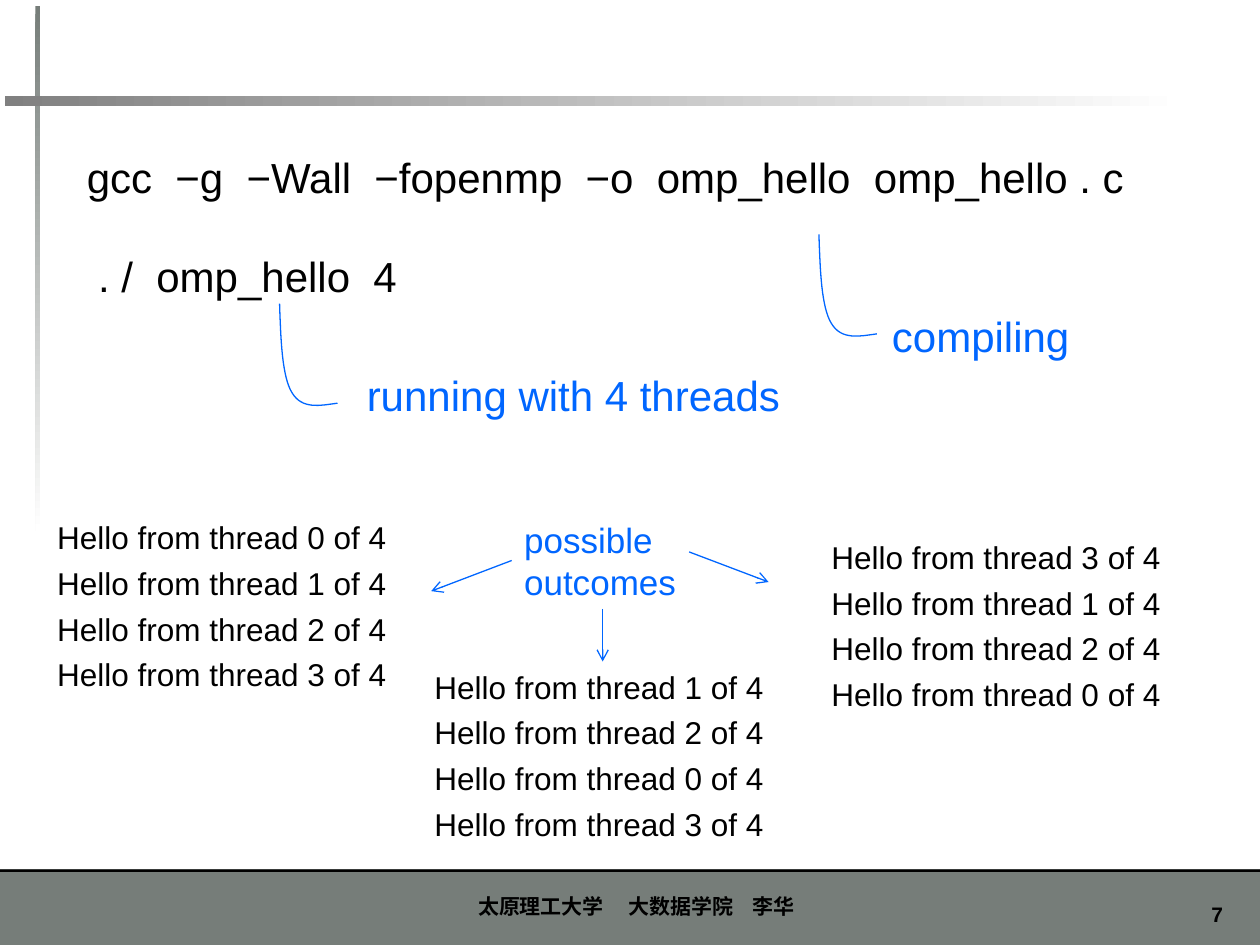
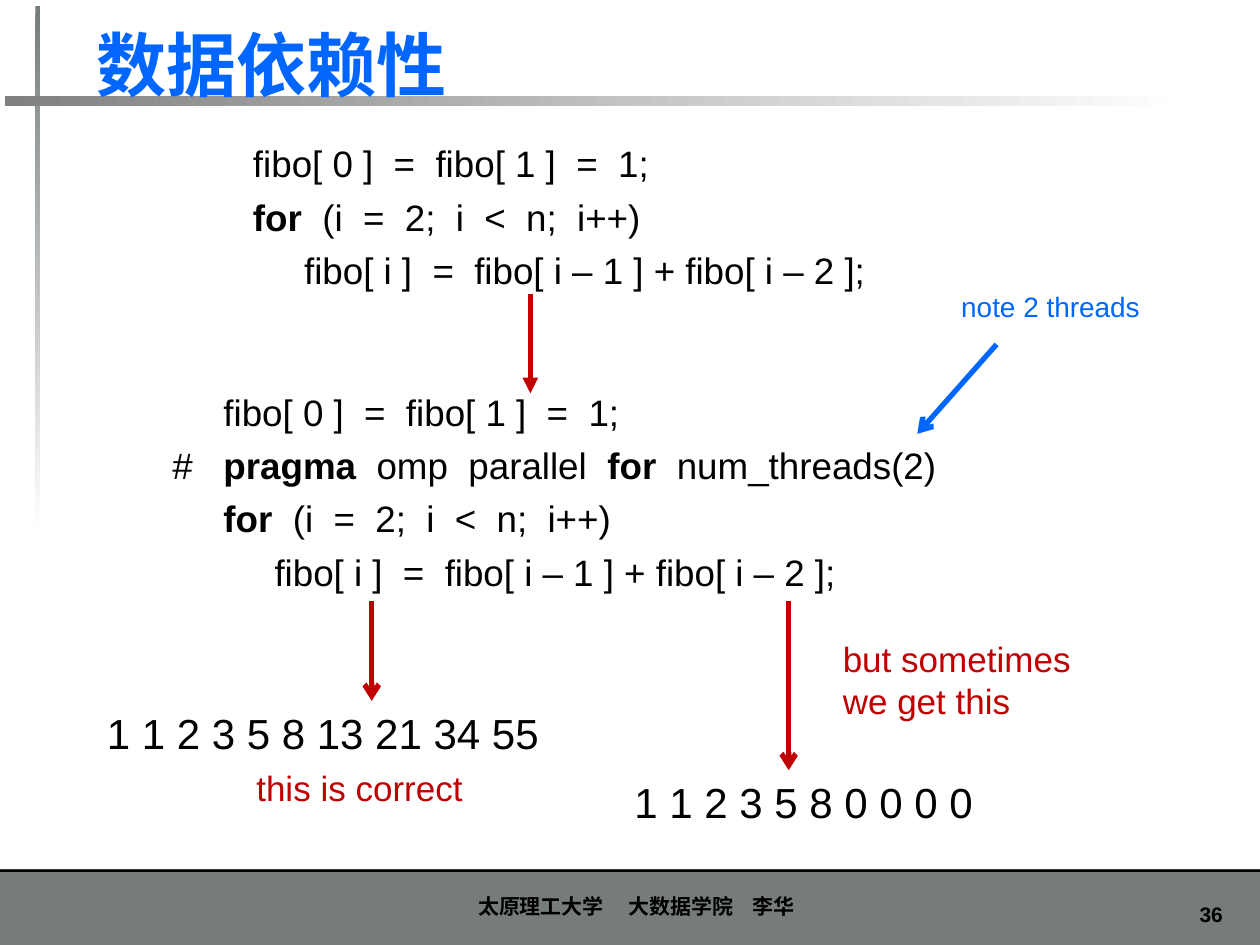
import pptx
import pptx.dml.color
import pptx.enum.shapes
import pptx.enum.text
import pptx.oxml
import pptx.oxml.ns
import pptx.util

Pt = pptx.util.Pt
RGBColor = pptx.dml.color.RGBColor
Align = pptx.enum.text.PP_ALIGN
Anchor = pptx.enum.text.MSO_ANCHOR

BLACK = RGBColor(0x00, 0x00, 0x00)
WHITE = RGBColor(0xFF, 0xFF, 0xFF)
BLUE = RGBColor(0x00, 0x66, 0xFF)
RED = RGBColor(0xC0, 0x00, 0x00)
SLATE = RGBColor(0x76, 0x7D, 0x79)
GRAY = RGBColor(0x80, 0x80, 0x80)

FONT = "Arial"
WIDTH, HEIGHT = 720, 540
FOOTER_HEIGHT = 43.2
CODE_INDENT = 29.2
TOP, LEFT, BOTTOM, RIGHT = range(4)

HOOK = [(0, 0), (0.7, 20.9), (1.4, 41.8), (7.2, 51.1),
        (13, 60.5), (23, 58.3), (33.1, 56.9)]

FIRST_LINE = "fibo[ 0 ]  =  fibo[ 1 ]  =  1;"
LOOP_HEAD = [("for", True), ("  (i  =  2;  i  <  n;  i++)", False)]
LOOP_BODY = "fibo[ i ]  =  fibo[ i – 1 ] + fibo[ i – 2 ];"


def set_tabs(para, stops):
    properties = para._p.get_or_add_pPr()
    tab_list = pptx.oxml.parse_xml(
        f'<a:tabLst {pptx.oxml.ns.nsdecls("a")}>'
        + "".join(f'<a:tab pos="{Pt(stop)}" algn="l"/>' for stop in stops)
        + "</a:tabLst>")
    properties.append(tab_list)


def add_span(para, text, size, color, bold):
    span = para.add_run()
    span.text = text
    span.font.name = FONT
    span.font.size = Pt(size)
    span.font.bold = bold
    span.font.color.rgb = color


def add_text(slide, left, top, width, height, paras, size=24, color=BLACK,
             bold=False, align=Align.LEFT, anchor=Anchor.TOP, wrap=True,
             gap=0.25, tabs=()):
    box = slide.shapes.add_textbox(Pt(left), Pt(top), Pt(width), Pt(height))
    frame = box.text_frame
    frame.word_wrap = wrap
    frame.vertical_anchor = anchor
    for index, spans in enumerate(paras):
        para = frame.add_paragraph() if index else frame.paragraphs[0]
        para.alignment = align
        para.space_before = Pt(size * gap)
        if tabs:
            set_tabs(para, tabs)
        for text, strong in [(spans, bold)] if isinstance(spans, str) else spans:
            for number, line in enumerate(text.split("\n")):
                if number:
                    para.add_line_break()
                add_span(para, line, size, color, strong)
    return box


def add_arrow(slide, start, end, color, width, head="arrow"):
    arrow = slide.shapes.add_connector(
        pptx.enum.shapes.MSO_CONNECTOR.STRAIGHT,
        *(Pt(value) for value in (*start, *end)))
    arrow.line.color.rgb = color
    arrow.line.width = Pt(width)
    line = arrow.line._get_or_add_ln()
    line.append(pptx.oxml.parse_xml(
        f'<a:tailEnd {pptx.oxml.ns.nsdecls("a")} type="{head}"/>'))
    arrow._element.spPr.append(pptx.oxml.parse_xml(
        f'<a:effectLst {pptx.oxml.ns.nsdecls("a")}/>'))
    return arrow


def add_band(slide, left, top, width, height, color, fade_angle=None):
    band = slide.shapes.add_shape(
        pptx.enum.shapes.MSO_SHAPE.RECTANGLE,
        Pt(left), Pt(top), Pt(width), Pt(height))
    band.shadow.inherit = False
    band.line.fill.background()
    if fade_angle is None:
        band.fill.solid()
        band.fill.fore_color.rgb = color
    else:
        band.fill.gradient()
        band.fill.gradient_angle = fade_angle
        for stop, shade in zip(band.fill.gradient_stops, (color, WHITE)):
            stop.color.rgb = shade


def cubic_point(controls, t):
    weights = ((1 - t) ** 3, 3 * t * (1 - t) ** 2, 3 * t * t * (1 - t), t ** 3)
    return tuple(sum(weight * control[axis]
                     for weight, control in zip(weights, controls))
                 for axis in (0, 1))


def add_hook(slide, left, top, steps=16):
    points = [cubic_point(HOOK[first:first + 4], step / steps)
              for first in (0, 3) for step in range(1, steps + 1)]
    builder = slide.shapes.build_freeform(Pt(left), Pt(top))
    builder.add_line_segments(
        [(Pt(left + x), Pt(top + y)) for x, y in points], close=False)
    hook = builder.convert_to_shape()
    hook.shadow.inherit = False
    hook.fill.background()
    hook.line.color.rgb = BLUE
    hook.line.width = Pt(0.75)


def add_footer(slide, left, top, number):
    add_band(slide, left, top, WIDTH, FOOTER_HEIGHT, SLATE)
    add_band(slide, left, top, WIDTH, 1.44, BLACK)
    add_text(slide, left + 660.5, top + 15, 45.4, 21.6, [str(number)],
             size=12, bold=True, align=Align.RIGHT, gap=0)
    add_text(slide, left + 266.1, top + 3.6, 300, 28,
             ["太原理工大学\t大数据学院\t李华"], size=12, bold=True,
             anchor=Anchor.BOTTOM, gap=0, tabs=(85.9, 156.6))


def add_framed_slide(deck, number, title=None):
    slide = deck.slides.add_slide(deck.slide_layouts[6])
    add_footer(slide, 0, HEIGHT - FOOTER_HEIGHT, number)
    add_band(slide, 20.2, 3.6, 2.9, 300, SLATE, fade_angle=270)
    add_band(slide, 2.9, 54.7, 674.6, 5.8, GRAY, fade_angle=0)
    if title:
        add_text(slide, 48.2, 8.4, 652.3, 55.4, [title], size=40, color=BLUE,
                 bold=True, anchor=Anchor.BOTTOM, gap=0)
    return slide


def add_commands(slide, left, top):
    add_text(slide, left, top, 612.7, 36,
             ["gcc  −g  −Wall  −fopenmp  −o  omp_hello  omp_hello . c"])
    add_text(slide, left + 6.5, top + 56.9, 188, 36,
             [". /  omp_hello  4"], wrap=False)
    add_text(slide, left + 460.1, top + 91, 119, 36,
             ["compiling"], color=BLUE, wrap=False)
    add_text(slide, left + 160, top + 124.6, 254, 36,
             ["running with 4 threads"], color=BLUE, wrap=False)
    add_hook(slide, left + 117.3, top + 90.7)
    add_hook(slide, left + 425.5, top + 51.1)


def add_outcomes(slide, left, top):
    outcomes = [(0, 0, 244, (0, 1, 2, 3)),
                (215.6, 85.4, 225.4, (1, 2, 0, 3)),
                (442.4, 11.2, 208, (3, 1, 2, 0))]
    for x, y, width, order in outcomes:
        add_text(slide, left + x, top + y, width, 107.3,
                 [f"Hello from thread {thread} of 4" for thread in order],
                 size=18)
    label = add_text(slide, left + 266.8, top, 104, 55.4,
                     ["possible\noutcomes"], size=20, color=BLUE, wrap=False)
    arrows = [((266.8, 27.7), (220.8, 45.2), LEFT),
              ((368.2, 22.8), (413.6, 40), None),
              ((318.8, 55.4), (318.8, 85.4), BOTTOM)]
    for start, end, side in arrows:
        arrow = add_arrow(slide, (left + start[0], top + start[1]),
                          (left + end[0], top + end[1]), BLUE, 0.75)
        if side is not None:
            arrow.begin_connect(label, side)


def add_code(slide, left, top):
    tabs = (CODE_INDENT, 2 * CODE_INDENT)
    add_text(slide, left + 46.1, top, 381.6, 93.6,
             [FIRST_LINE, LOOP_HEAD, "\t" + LOOP_BODY], size=21, tabs=tabs)
    pragma = [("#\t", False), ("pragma", True), ("  omp  parallel  ", False),
              ("for", True), ("  num_threads(2)", False)]
    add_text(slide, left, top + 141.9, 474.5, 123.8,
             ["\t" + FIRST_LINE, pragma, [("\t", False), *LOOP_HEAD],
              "\t\t" + LOOP_BODY], size=21, tabs=tabs)
    add_arrow(slide, (left + 211.7, top + 90.8), (left + 211.7, top + 147.6),
              RED, 3, head="triangle")
    add_text(slide, left + 450.8, top + 85, 122, 26.6,
             ["note 2 threads"], size=16, color=BLUE, wrap=False)
    add_arrow(slide, (left + 478.1, top + 119.6), (left + 432.8, top + 170.7),
              BLUE, 3)


def add_results(slide, left, top):
    add_text(slide, left, top + 56.9, 283.7, 36, ["1 1 2 3 5 8 13 21 34 55"])
    add_text(slide, left + 301.4, top + 96.5, 212, 36,
             ["1 1 2 3 5 8 0 0 0 0"], wrap=False)
    for x, length in ((158.4, 56.9), (396.7, 96.5)):
        add_arrow(slide, (left + x, top), (left + x, top + length), RED, 3)
    add_text(slide, left + 85.4, top + 90.8, 136, 31.7,
             ["this is correct"], size=20, color=RED, wrap=False)
    add_text(slide, left + 420.5, top + 17.3, 148, 55.4,
             ["but sometimes\nwe get this"], size=20, color=RED, wrap=False)


def main():
    deck = pptx.Presentation()
    deck.slide_width, deck.slide_height = Pt(WIDTH), Pt(HEIGHT)

    hello = add_framed_slide(deck, 7)
    add_commands(hello, 42.5, 82.8)
    add_outcomes(hello, 25.6, 292.6)

    dependence = add_framed_slide(deck, 36, "数据依赖性")
    add_code(dependence, 91.4, 77.2)
    add_results(dependence, 54, 343.6)

    deck.save("out.pptx")


if __name__ == "__main__":
    main()
